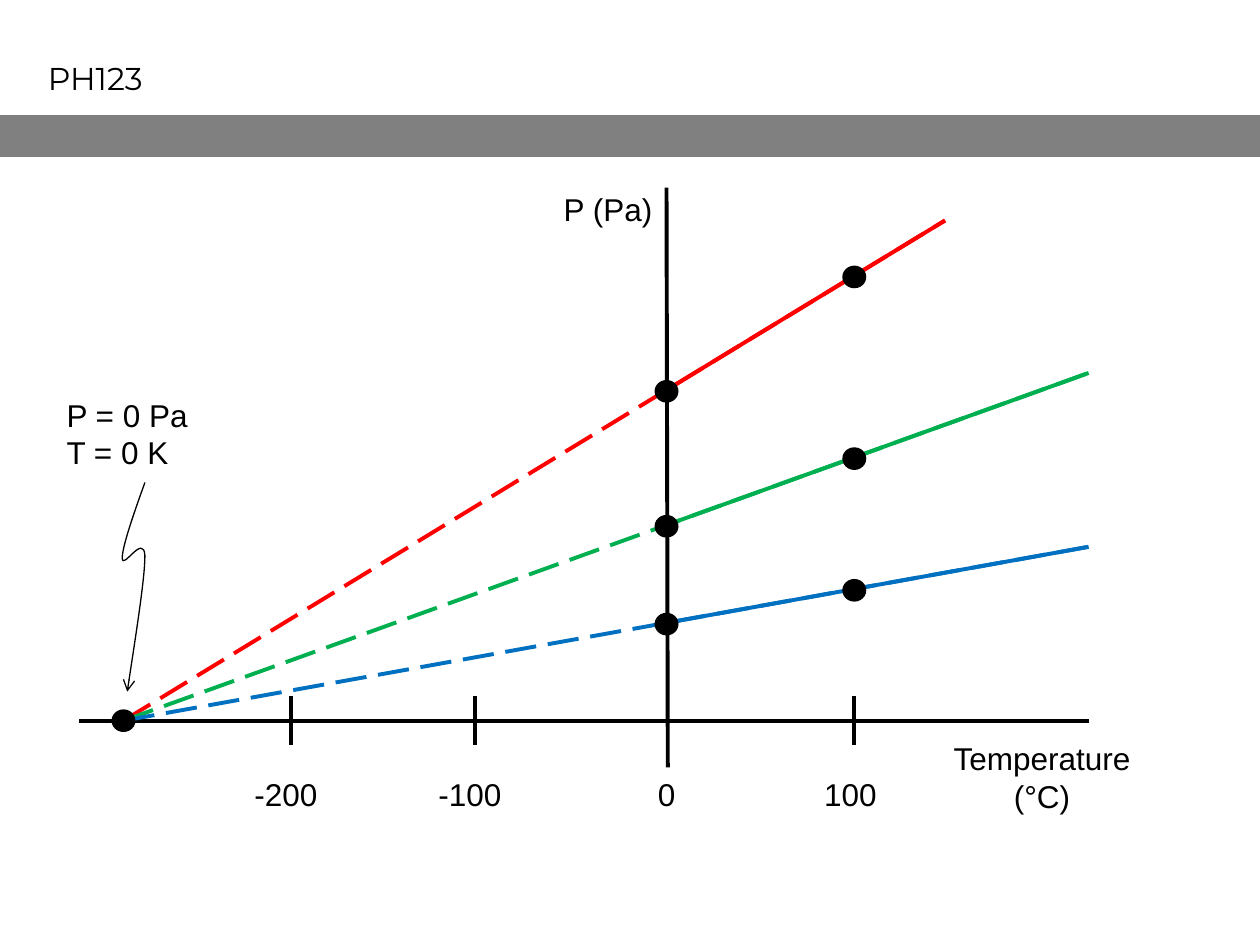
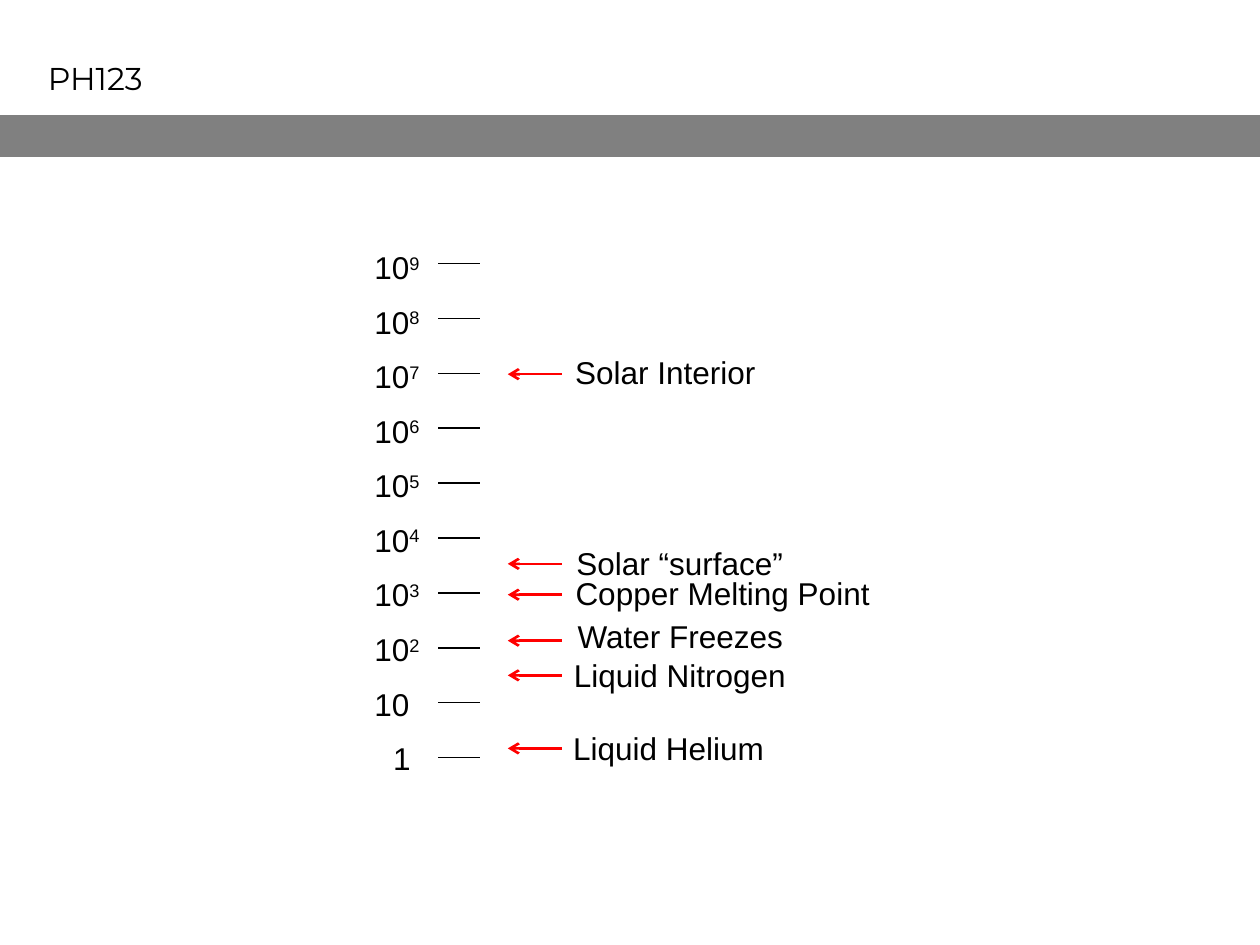
from collections import namedtuple

from lxml.etree import SubElement
from pptx import Presentation
from pptx.dml.color import RGBColor
from pptx.enum.dml import MSO_LINE
from pptx.enum.shapes import MSO_CONNECTOR, MSO_SHAPE
from pptx.enum.text import MSO_ANCHOR, MSO_AUTO_SIZE, PP_ALIGN
from pptx.oxml.ns import qn
from pptx.util import Inches, Pt

BLACK = RGBColor(0x00, 0x00, 0x00)
GRAY = RGBColor(0x80, 0x80, 0x80)
RED = RGBColor(0xFF, 0x00, 0x00)
GREEN = RGBColor(0x00, 0xB0, 0x50)
BLUE = RGBColor(0x00, 0x70, 0xC0)

# The slide is a grid of 100 columns by 75 rows
COLS, ROWS = 100, 75
Box = namedtuple("Box", "left top width height")


def cell(count):
    return Inches(count / 10)


def place(box, left, top, width, height):
    """Turn a place inside a box into slide lengths."""
    return [cell(n) for n in (box.left + left, box.top + top, width, height)]


def style(frame, face="Arial", align=PP_ALIGN.CENTER, wrap=False):
    frame.word_wrap = wrap
    frame.auto_size = MSO_AUTO_SIZE.SHAPE_TO_FIT_TEXT
    frame.vertical_anchor = MSO_ANCHOR.TOP
    for para in frame.paragraphs:
        para.alignment = align
        para.font.name = face
        para.font.size = Pt(18)
        para.font.color.rgb = BLACK


def label(slide, box, spot, text, power="", **look):
    frame = slide.shapes.add_textbox(*place(box, *spot)).text_frame
    frame.text = text
    if power:
        run = frame.paragraphs[0].add_run()
        run.text = power
        run.font._element.set("baseline", "30000")
    style(frame, **look)


def arrow(shape):
    line = shape._element.spPr.find(qn("a:ln"))
    SubElement(line, qn("a:tailEnd"), type="arrow")


def stroke(slide, box, start, end, color=BLACK, width=2.25, dash=None):
    ends = [cell(n) for x, y in (start, end)
            for n in (box.left + x, box.top + y)]
    link = slide.shapes.add_connector(MSO_CONNECTOR.STRAIGHT, *ends)
    link.line.color.rgb = color
    link.line.width = Pt(width)
    if dash:
        link.line.dash_style = dash
    SubElement(link._element.spPr, qn("a:effectLst"))
    return link


def solid(slide, box, spot, kind, color):
    shape = slide.shapes.add_shape(kind, *place(box, *spot))
    shape.shadow.inherit = False
    shape.fill.solid()
    shape.fill.fore_color.rgb = color
    shape.line.fill.background()


def dot(slide, box, x, y):
    solid(slide, box, (x - 0.95, y - 0.9, 1.9, 1.8), MSO_SHAPE.OVAL, BLACK)


def header(deck):
    """Start a slide with the course title and the gray band."""
    slide = deck.slides.add_slide(deck.slide_layouts[5])
    page = Box(0, 0, COLS, ROWS)
    title = slide.shapes.title
    title.left, title.top, title.width, title.height = place(
        page, 2.8, 4.2, 9.6, 4)
    title.text_frame.text = "PH123"
    style(title.text_frame, "Montserrat", PP_ALIGN.LEFT)
    solid(slide, page, (0, 9.15, COLS, 3.3), MSO_SHAPE.RECTANGLE, GRAY)
    return slide


def squiggle(slide, box, points):
    """Draw a curved arrow: a start, then three points for each bend."""
    spots = [(cell(box.left + x), cell(box.top + y)) for x, y in points]
    pen = slide.shapes.build_freeform(*spots[0])
    pen.add_line_segments(spots[1:], close=False)
    curve = pen.convert_to_shape()
    curve.shadow.inherit = False
    curve.fill.background()
    curve.line.color.rgb = BLACK
    curve.line.width = Pt(0.75)
    arrow(curve)
    # Merge each three straight steps into one Bezier bend
    route = next(curve._element.iter(qn("a:path")))
    steps = route.findall(qn("a:lnTo"))
    for first in range(0, len(steps), 3):
        bend = SubElement(route, qn("a:cubicBezTo"))
        for step in steps[first:first + 3]:
            bend.append(step[0])
            route.remove(step)


def graph(slide, box):
    """Plot pressure against temperature for three gases."""
    start, base = 3.5, 42.3  # absolute zero on the temperature axis
    zero, hot = 46.6, 61.5  # columns of 0 and 100 degrees
    rays = [(RED, 68.7, 2.6), (GREEN, box.width, 14.7),
            (BLUE, box.width, 28.5)]

    def height(x, ray):
        _, right, top = ray
        return base + (top - base) * (x - start) / (right - start)

    # Axes and rays
    stroke(slide, box, (0, base), (box.width, base))
    for color, right, top in rays:
        stroke(slide, box, (start, base), (right, top), color,
               dash=MSO_LINE.LONG_DASH)
    stroke(slide, box, (zero, 0), (zero + 0.1, box.height))
    for ray in rays:
        color, right, top = ray
        stroke(slide, box, (zero, height(zero, ray)), (right, top), color)

    # Measured points and absolute zero
    for x in (zero, hot):
        for ray in rays:
            dot(slide, box, x, height(x, ray) + 0.1)
    dot(slide, box, start, base)

    # Temperature scale: text, column of the tick, shift of the text
    for text, x, shift in (("-200", 16.8, -0.4), ("-100", 31.4, -0.4),
                           ("0", zero, 0), ("100", hot, -0.3)):
        label(slide, box, (x + shift - 3.5, 46.1, 7, 4), text)
        if x != zero:
            stroke(slide, box, (x, base - 1.95), (x, base + 1.95))

    # Names and the note on absolute zero
    label(slide, box, (66.4, 43.3, 20, 7), "Temperature (°C)", wrap=True)
    label(slide, box, (37.4, -0.3, 9.1, 4), "P (Pa)")
    label(slide, box, (-2, 16, 11.6, 7), "P = 0 Pa\nT = 0 K",
          align=PP_ALIGN.LEFT)
    squiggle(slide, box, [
        (5.2, 23.4), (4.3, 25.9), (3.4, 28.5), (3.4, 29.4), (3.4, 30.4),
        (5.1, 27.4), (5.2, 29.2), (5.2, 30.9), (4.5, 35.4), (3.8, 40)])


def scale(slide, box):
    """Draw the powers of ten and the temperatures found among them."""
    # Ticks and powers, from the ninth down to one
    for row, power in enumerate(range(9, -1, -1)):
        y = 1.7 + 4.36 * row
        stroke(slide, box, (6.1, y), (9.4, y), width=0.75)
        left, wide = {1: (0, 4.8), 0: (1.5, 3.4)}.get(power, (0, 5.6))
        label(slide, box, (left, 4.33 * row, wide, 4),
              "10" if power else "1", str(power) if power > 1 else "")

    # Known temperatures: text, width, top, row of the arrow
    for text, wide, top, y in (
            ("Solar Interior", 17, 8.3, 10.5),
            ("Solar “surface”", 19.3, 23.5, 25.55),
            ("Copper Melting Point", 26.1, 25.9, 28),
            ("Water Freezes", 19.4, 29.3, 31.65),
            ("Liquid Nitrogen", 19.3, 32.4, 34.4),
            ("Liquid Helium", 17.5, 38.2, 40.2)):
        label(slide, box, (15.6, top, wide, 4), text)
        arrow(stroke(slide, box, (15.9, y), (11.6, y), RED, 1.5))


def main():
    deck = Presentation()
    deck.slide_width, deck.slide_height = cell(COLS), cell(ROWS)
    graph(header(deck), Box(6.3, 14.9, 80.1, 46))
    scale(header(deck), Box(28.7, 19.2, 41.7, 43))
    deck.save("out.pptx")


if __name__ == "__main__":
    main()
